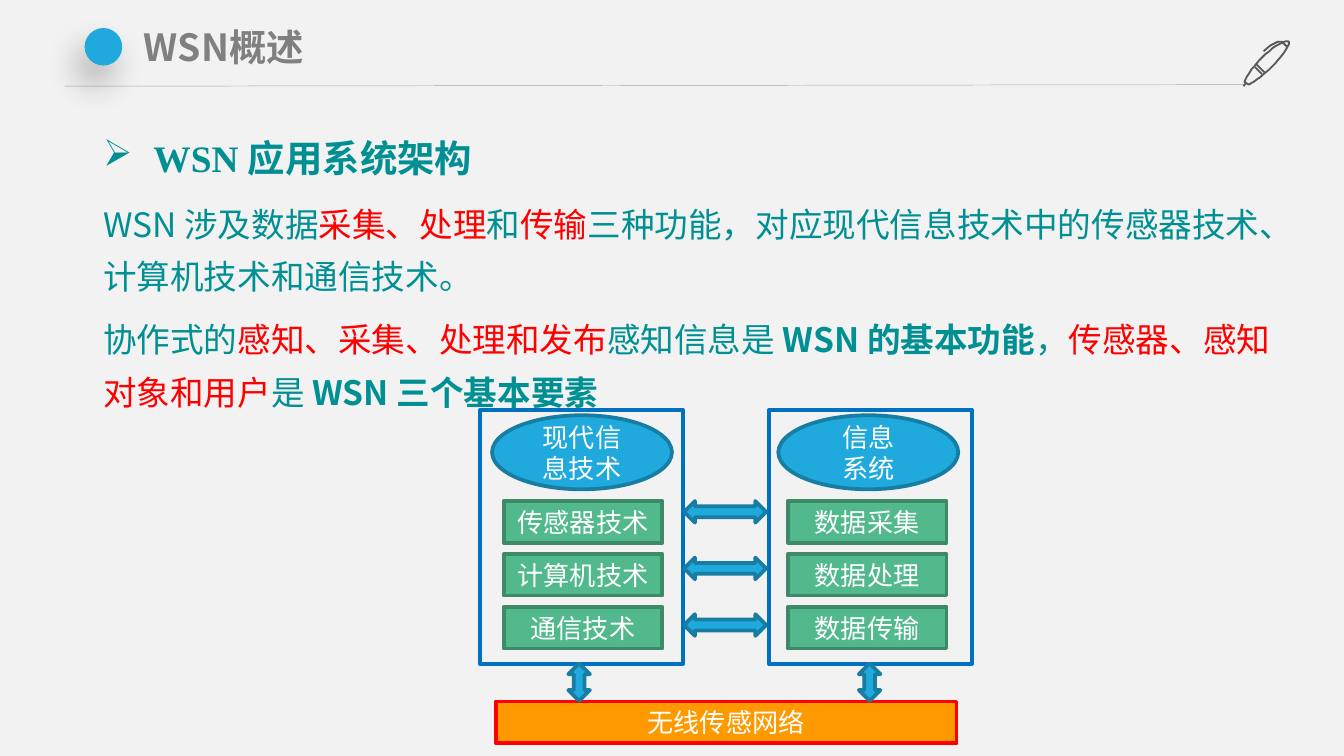
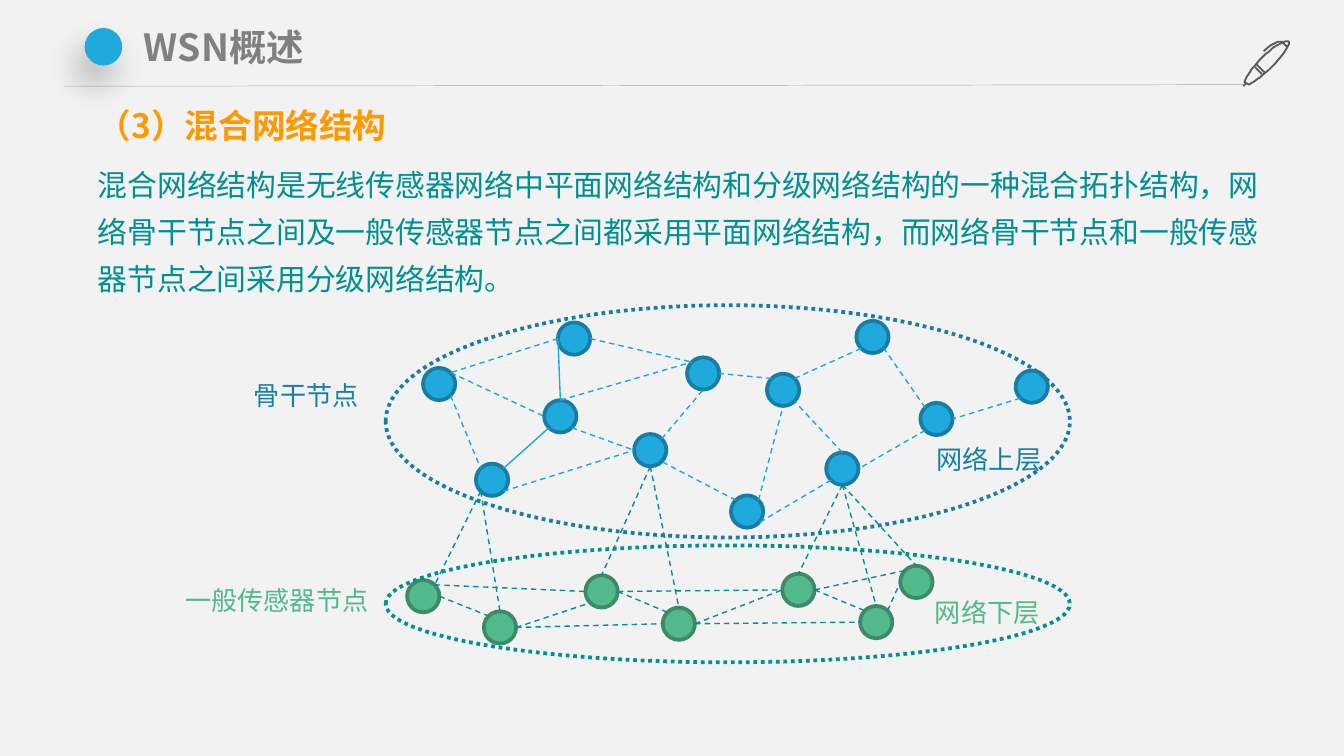
"""Build two slides on the WSN architecture and the hybrid network structure."""
from math import cos, radians, sin

from lxml import etree
from pptx import Presentation
from pptx.dml.color import RGBColor
from pptx.enum.dml import MSO_LINE
from pptx.enum.shapes import MSO_CONNECTOR, MSO_SHAPE
from pptx.enum.text import MSO_AUTO_SIZE, PP_ALIGN
from pptx.oxml.ns import qn
from pptx.util import Cm, Pt

OVAL, BOX, ARROW = MSO_SHAPE.OVAL, MSO_SHAPE.RECTANGLE, MSO_SHAPE.LEFT_RIGHT_ARROW
DASH, DOTS = MSO_LINE.DASH, MSO_LINE.ROUND_DOT
STRAIGHT = MSO_CONNECTOR.STRAIGHT
CENTER = PP_ALIGN.CENTER
FIT = MSO_AUTO_SIZE.SHAPE_TO_FIT_TEXT

SANS, SERIF = "Noto Sans CJK SC", "Times New Roman"
COLORS = {
    "background": "F2F2F2", "rule": "A6A6A6", "pen": "595959", "title": "808080",
    "blue": "20A9DD", "blue_edge": "187DA3", "blue_link": "1BA7DD", "blue_label": "187FA6",
    "green": "52B98C", "green_edge": "3D8968", "teal": "008F92", "red": "FF0000",
    "orange": "FF9900", "frame": "0070C0", "white": "FFFFFF", "shadow": "000000",
}

TITLE = "WSN概述"
PEN_STROKES = [
    [(23.85, 1.4), (23.72, 1.27)],
    [(23.75, 1.22), (23.9, 1.37)],
    [(24.36, 0.79),
     ((24.31, 0.74), (24.08, 0.86), (23.85, 1.09)),
     ((23.67, 1.27), (23.55, 1.45), (23.52, 1.55)),
     (23.6, 1.6),
     ((23.67, 1.57), (23.85, 1.45), (24.03, 1.27)),
     ((24.26, 1.04), (24.38, 0.84), (24.36, 0.79))],
    [(23.55, 1.57), (23.5, 1.63)],
    [(24.33, 0.89),
     ((24.33, 0.89), (24.28, 0.84), (24.23, 0.79)),
     ((24.23, 0.79), (24.13, 0.74), (23.88, 0.97))],
]

ARCHITECTURE_TEXT = [
    {"bullet": "➢", "size": 20, "font": SERIF,
     "runs": [("WSN 应用系统架构", "teal", True)]},
    {"size": 18, "runs": [
        ("WSN 涉及数据", "teal", False), ("采集、处理", "red", False), ("和", "teal", False),
        ("传输", "red", False),
        ("三种功能，对应现代信息技术中的传感器技术、计算机技术和通信技术。", "teal", False)]},
    {"size": 18, "runs": [
        ("协作式的", "teal", False), ("感知、采集、处理和发布", "red", False),
        ("感知信息是 ", "teal", False), ("WSN 的基本功能", "teal", True),
        ("，", "teal", False), ("传感器、感知对象和用户", "red", False),
        ("是 ", "teal", False), ("WSN 三个基本要素", "teal", True)]},
]
COLUMNS = [
    {"left": 9.07, "oval": 9.3, "box": 9.52, "arrow": 10.59, "heading": ["现代信息技术"],
     "items": ["传感器技术", "计算机技术", "通信技术"]},
    {"left": 14.53, "oval": 14.71, "box": 14.89, "arrow": 16.08, "heading": ["信息", "系统"],
     "items": ["数据采集", "数据处理", "数据传输"]},
]
NETWORK = "无线传感网络"

HYBRID_TEXT = [
    {"size": 18, "runs": [("（3）混合网络结构", "orange", True)]},
    {"size": 16, "runs": [(
        "混合网络结构是无线传感器网络中平面网络结构和分级网络结构的一种混合拓扑结构，"
        "网络骨干节点之间及一般传感器节点之间都采用平面网络结构，"
        "而网络骨干节点和一般传感器节点之间采用分级网络结构。", "teal", False)]},
]
BACKBONE = {
    "A": (10.85, 6.4), "B": (8.3, 7.26), "C": (10.59, 7.87), "D": (9.3, 9.07),
    "E": (13.29, 7.06), "F": (16.49, 6.37), "G": (14.8, 7.37), "H": (12.29, 8.51),
    "I": (14.12, 9.67), "J": (15.92, 8.86), "K": (17.7, 7.92), "L": (19.5, 7.31),
}
SENSORS = {
    "a": (8, 11.27), "b": (9.45, 11.86), "c": (11.37, 11.18), "d": (12.83, 11.79),
    "e": (15.09, 11.15), "f": (16.56, 11.76), "g": (17.32, 11),
}
SOLID_LINKS = ["A.W C.N", "C.SW D.NE"]
BACKBONE_LINKS = [
    "A.W B.NE", "A.E E.NW", "C.N E.NW", "B.NE C.W", "B.SE D.NW", "C.SE H.W", "D.SE H.W",
    "H.NE E.S", "G.NW E.E", "I.NW H.SE", "I.NE G.S", "J.N G.SE", "J.SW I.SE", "K.SW J.E",
    "L.SW K.E", "K.NW F.SE", "G.NE F.SW",
]
DOWN_LINKS = ["D.SW a.NE", "D.SW b.N", "H.S c.N", "H.S d.N", "J.S e.N", "J.S f.N", "J.S g.N"]
SENSOR_LINKS = [
    "a.E b.NW", "a.NE c.W", "b.E c.SW", "b.E d.W", "c.E d.NW", "c.E e.W", "d.E e.W",
    "d.E f.W", "e.E f.NW", "e.E g.NW", "f.NE g.W",
]
LAYERS = [((7.29, 5.77, 12.93, 4.39), "blue_edge"), ((7.29, 10.31, 12.93, 2.21), "teal")]
LABELS = [
    ("骨干节点", (4.55, 7.04, 2.51, 0.86), "blue_label"),
    ("一般传感器节点", (3.25, 10.92, 4.01, 0.86), "green"),
    ("网络上层", (17.45, 8.26, 2.51, 0.86), "blue_label"),
    ("网络下层", (17.42, 11.15, 2.51, 0.86), "green"),
]
NODE_SIZE = 0.61
ANGLES = {side: 45 * step for step, side in enumerate(["E", "SE", "S", "SW", "W", "NW", "N", "NE"])}


def rgb(name):
    return RGBColor.from_string(COLORS[name])


def apply(target, values):
    for name, value in values.items():
        setattr(target, name, value)


def set_line(line, color, width, dash=None):
    line.color.rgb = rgb(color)
    line.width = Pt(width)
    if dash:
        line.dash_style = dash


def add_run(paragraph, text, color, size, bold=False, font=SANS):
    run = paragraph.add_run()
    run.text = text
    apply(run.font, {"name": font, "size": Pt(size), "bold": bold})
    run.font.color.rgb = rgb(color)
    etree.SubElement(run.font._element, qn("a:ea"), typeface=SANS)


def add_figure(slide, kind, area, fill=None, edge=None, dash=None, lines=()):
    shape = slide.shapes.add_shape(kind, *map(Cm, area))
    shape.shadow.inherit = False
    if fill:
        shape.fill.solid()
        shape.fill.fore_color.rgb = rgb(fill)
    else:
        shape.fill.background()
    if edge:
        set_line(shape.line, edge, 2, dash)
    else:
        shape.line.fill.background()
    for index, text in enumerate(lines):
        frame = shape.text_frame
        paragraph = frame.add_paragraph() if index else frame.paragraphs[0]
        paragraph.alignment = CENTER
        add_run(paragraph, text, "white", 14)
    return shape


def add_text(slide, area, paragraphs, spacing=1.3, gap=3, wrap=True):
    frame = slide.shapes.add_textbox(*map(Cm, area)).text_frame
    apply(frame, {"word_wrap": wrap, "auto_size": FIT})
    for index, content in enumerate(paragraphs):
        paragraph = frame.add_paragraph() if index else frame.paragraphs[0]
        if "bullet" in content:
            properties = paragraph._p.get_or_add_pPr()
            apply_indent = {"marL": Cm(0.95), "indent": -Cm(0.95)}
            for name, value in apply_indent.items():
                properties.set(name, str(int(value)))
            etree.SubElement(properties, qn("a:buChar"), char=content["bullet"])
        apply(paragraph, {"line_spacing": spacing, "space_before": Pt(gap if index else 0),
                          "space_after": Pt(gap)})
        for text, color, bold in content["runs"]:
            add_run(paragraph, text, color, content["size"], bold, content.get("font", SANS))
    return frame


def add_link(slide, start, end, color, width=0.75, dash=None):
    link = slide.shapes.add_connector(STRAIGHT, *map(Cm, start + end))
    set_line(link.line, color, width, dash)
    etree.SubElement(link._element.spPr, qn("a:effectLst"))


def curve_points(start, first, second, end, steps=10):
    for step in range(1, steps + 1):
        t = step / steps
        weights = ((1 - t) ** 3, 3 * t * (1 - t) ** 2, 3 * t * t * (1 - t), t ** 3)
        yield tuple(sum(weight * point[axis] for weight, point
                        in zip(weights, (start, first, second, end))) for axis in (0, 1))


def add_pen(slide):
    builder = None
    for start, *segments in PEN_STROKES:
        origin = [value * 100 for value in start]
        if builder:
            builder.move_to(*origin)
        else:
            builder = slide.shapes.build_freeform(*origin, scale=Cm(0.01))
        points = [start]
        for segment in segments:
            if len(segment) == 3:
                points.extend(curve_points(points[-1], *segment))
            else:
                points.append(segment)
        builder.add_line_segments([(x * 100, y * 100) for x, y in points[1:]], close=False)
    pen = builder.convert_to_shape()
    pen.shadow.inherit = False
    pen.fill.background()
    set_line(pen.line, "pen", 1)


def add_shadow(shape):
    effects = shape._element.spPr.find(qn("a:effectLst"))
    shadow = etree.SubElement(effects, qn("a:outerShdw"), blurRad=str(Pt(18)), dist=str(Pt(11)),
                              dir=str(113 * 60000), algn="ctr", rotWithShape="0")
    color = etree.SubElement(shadow, qn("a:srgbClr"), val=COLORS["shadow"])
    etree.SubElement(color, qn("a:alpha"), val="27000")


def new_slide(presentation):
    slide = presentation.slides.add_slide(presentation.slide_layouts[6])
    slide.background.fill.solid()
    slide.background.fill.fore_color.rgb = rgb("background")
    add_link(slide, (1.22, 1.63), (23.5, 1.6), "rule", 0.25)
    add_pen(slide)
    add_shadow(add_figure(slide, OVAL, (1.6, 0.53, 0.71, 0.71), "blue"))
    return slide


def add_title(slide):
    frame = add_text(slide, (2.49, 0.36, 21, 1.09),
                     [{"size": 20, "runs": [(TITLE, "title", True)]}], spacing=1, gap=0)
    apply(frame, {"margin_left": Cm(0.23), "margin_right": Cm(0.23),
                  "margin_top": Cm(0.1), "margin_bottom": Cm(0.1)})


def build_architecture(presentation):
    slide = new_slide(presentation)
    add_text(slide, (1.7, 2.18, 22.81, 5.72), ARCHITECTURE_TEXT)
    add_title(slide)
    for column in COLUMNS:
        add_figure(slide, OVAL, (column["oval"], 7.85, 3.4, 1.4), "blue", "blue_edge",
                   lines=column["heading"])
        for row, item in enumerate(column["items"]):
            add_figure(slide, BOX, (column["box"], 9.47 + row, 3, 0.79), "green", "green_edge",
                       lines=[item])
    add_figure(slide, BOX, (9.37, 13.26, 8.71, 0.79), "orange", "red", lines=[NETWORK])
    for column in COLUMNS:
        add_figure(slide, BOX, (column["left"], 7.75, 3.84, 4.8), edge="frame")
    for row in range(3):
        add_figure(slide, ARROW, (12.93, 9.47 + 1.07 * row, 1.55, 0.41), "blue", "blue_edge")
    for column in COLUMNS:
        arrow = add_figure(slide, ARROW, (column["arrow"], 12.69, 0.71, 0.41), "blue", "blue_edge")
        arrow.rotation = 90


def node_site(site):
    name, side = site.split(".")
    x, y = (BACKBONE | SENSORS)[name]
    angle, radius = radians(ANGLES[side]), NODE_SIZE / 2
    return x + radius * cos(angle), y + radius * sin(angle)


def add_links(slide, links, color, dash=DASH):
    for link in links:
        start, end = map(node_site, link.split())
        add_link(slide, start, end, color, dash=dash)


def add_nodes(slide, nodes, color):
    for x, y in nodes.values():
        area = (x - NODE_SIZE / 2, y - NODE_SIZE / 2, NODE_SIZE, NODE_SIZE)
        add_figure(slide, OVAL, area, color, f"{color}_edge")


def build_hybrid(presentation):
    slide = new_slide(presentation)
    add_text(slide, (1.6, 1.63, 22.81, 4.06), HYBRID_TEXT)
    add_title(slide)
    add_nodes(slide, BACKBONE, "blue")
    add_links(slide, SOLID_LINKS, "blue_link", None)
    add_links(slide, BACKBONE_LINKS, "blue_link")
    add_nodes(slide, SENSORS, "green")
    add_links(slide, DOWN_LINKS, "teal")
    for area, color in LAYERS:
        add_figure(slide, OVAL, area, edge=color, dash=DOTS)
    for text, area, color in LABELS:
        add_text(slide, area, [{"size": 14, "runs": [(text, color, False)]}],
                 spacing=1, gap=0, wrap=False)
    add_links(slide, SENSOR_LINKS, "teal")


def main():
    presentation = Presentation()
    apply(presentation, {"slide_width": Cm(25.4), "slide_height": Cm(14.29)})
    build_architecture(presentation)
    build_hybrid(presentation)
    presentation.save("out.pptx")


if __name__ == "__main__":
    main()
